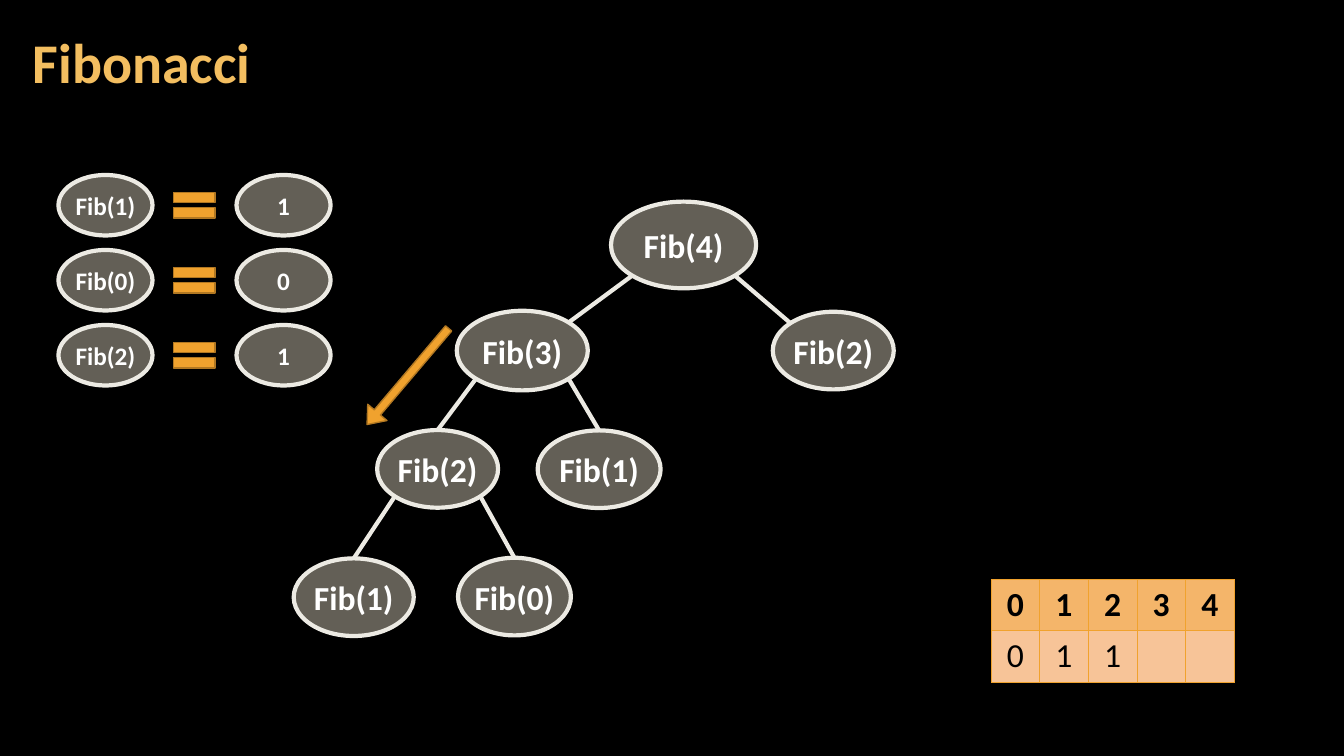
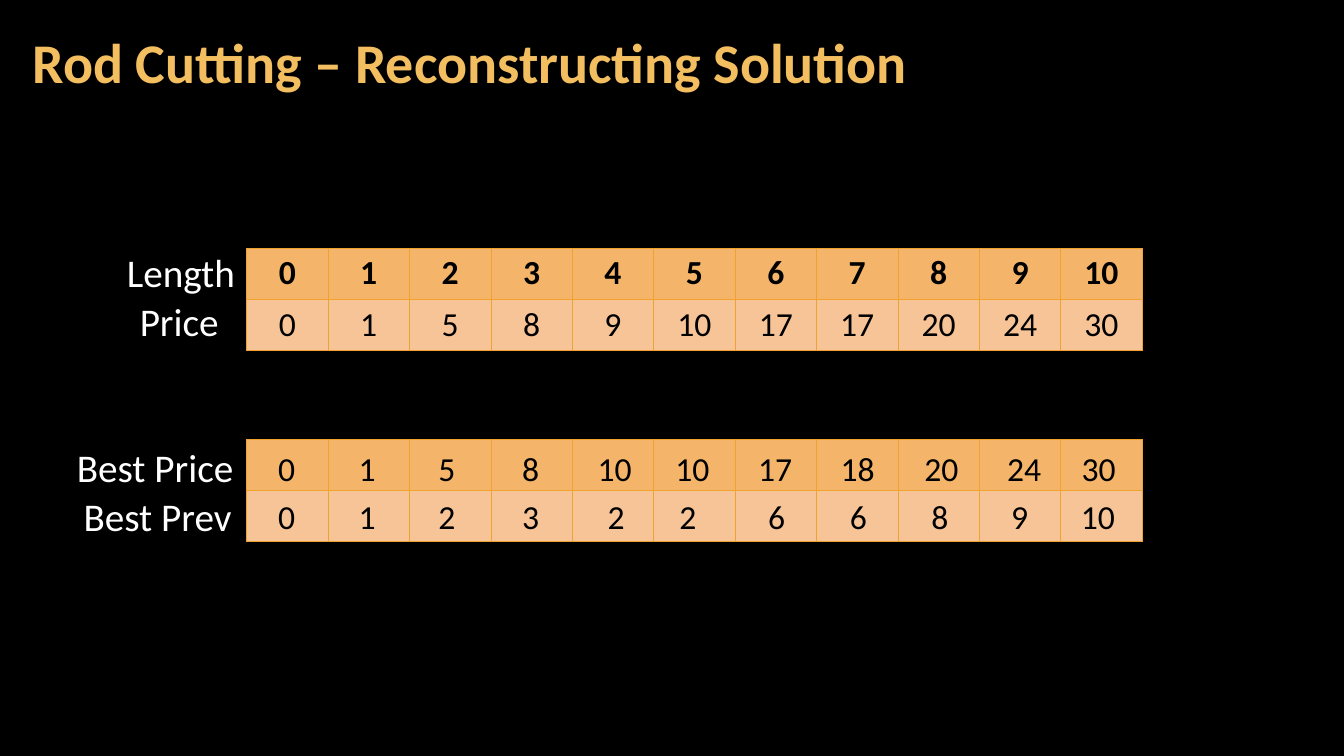
"""Build two dynamic-programming slides: a Fibonacci call tree and rod cutting tables."""
from math import sqrt

from lxml.etree import SubElement
from pptx import Presentation
from pptx.dml.color import RGBColor
from pptx.enum.shapes import MSO_CONNECTOR, MSO_SHAPE
from pptx.enum.text import MSO_ANCHOR, PP_ALIGN
from pptx.oxml.ns import qn
from pptx.util import Inches, Pt

BLACK, WHITE, GOLD = "000000", "FFFFFF", "F3BE60"
ORANGE, BROWN, STONE, CREAM = "F0A22E", "B27822", "C7BFAC", "ECEAE3"
ROW_FILLS = ["F4B56A", "F7C498"]


def paint(fill, color):
    fill.solid()
    fill.fore_color.rgb = RGBColor.from_string(color)


def write(tf, text, size=24, color=WHITE, bold=False, align=PP_ALIGN.CENTER):
    p = tf.paragraphs[0]
    p.alignment = align
    r = p.add_run()
    r.text = text
    r.font.name, r.font.size, r.font.bold = "Calibri", Pt(size), bold
    paint(r.font.fill, color)


prs = Presentation()
prs.slide_width, prs.slide_height = Inches(13.33), Inches(7.5)
col, row = prs.slide_width / 100, prs.slide_height / 100

paint(prs.slide_master.background.fill, BLACK)
layout = prs.slide_layouts[5]
sp = layout.placeholders[0]
sp.left, sp.top = int(1.53 * col), int(0.53 * row)
sp.width, sp.height = int(78.54 * col), int(16.13 * row)
tf = sp.text_frame
tf.margin_left = tf.margin_right = Inches(0.12)
tf.margin_top = tf.margin_bottom = Inches(0.04)
tf.vertical_anchor = MSO_ANCHOR.MIDDLE

for title in ["Fibonacci", "Rod Cutting – Reconstructing Solution"]:
    s = prs.slides.add_slide(layout)
    tf = s.shapes.title.text_frame
    write(tf, title, size=40, color=GOLD, bold=True, align=PP_ALIGN.LEFT)
    tf.paragraphs[0].line_spacing = 0.9
fib, rod = prs.slides

# Each node: text, centre x, centre y, width, height, size
tree = [
    ("Fib(4)", 50.86, 32.4, 10.8, 11.47, 24),
    ("Fib(3)", 38.86, 46.38, 9.75, 10.53, 24),
    ("Fib(2)", 62, 46.38, 9, 10.27, 24),
    ("Fib(2)", 32.56, 62.03, 9, 10.27, 24),
    ("Fib(1)", 44.58, 62.07, 9.15, 10.27, 24),
    ("Fib(1)", 26.32, 79, 8.93, 10.27, 24),
    ("Fib(0)", 38.28, 78.92, 8.4, 10.27, 24),
]
edges = [(0, 1), (0, 2), (1, 3), (1, 4), (3, 5), (3, 6)]
diagonal = sqrt(0.5)
for parent, child in edges:
    _, px, py, pw, ph, _ = tree[parent]
    _, cx, cy, cw, ch, _ = tree[child]
    side = 1 if cx > px else -1
    lean = diagonal if parent == 0 else 0
    x1, y1 = px + side * diagonal * pw / 2, py + diagonal * ph / 2
    x2, y2 = cx - side * lean * cw / 2, cy - sqrt(1 - lean ** 2) * ch / 2
    line = fib.shapes.add_connector(
        MSO_CONNECTOR.STRAIGHT, int(x1 * col), int(y1 * row), int(x2 * col), int(y2 * row))
    paint(line.line.fill, CREAM)
    line.line.width = Pt(3)
    SubElement(line._element.spPr, qn("a:effectLst"))

known = []
marks = [(MSO_SHAPE.RIGHT_ARROW, 25.65, 48.13, 9.38, 3.33)]
for i, (call, value) in enumerate([("Fib(1)", "1"), ("Fib(0)", "0"), ("Fib(2)", "1")]):
    y = 27.15 + 9.92 * i
    known += [(call, 7.85, y, 7, 8, 18), (value, 21.1, y, 7, 8, 18)]
    marks.append((MSO_SHAPE.MATH_EQUAL, 12.36, y - 2.87, 4.2, 5.73))

for text, x, y, w, h, size in tree + known:
    sp = fib.shapes.add_shape(
        MSO_SHAPE.OVAL, int((x - w / 2) * col), int((y - h / 2) * row), int(w * col), int(h * row))
    sp.shadow.inherit = False
    paint(sp.fill, STONE)
    SubElement(sp._element.spPr.find(qn("a:solidFill"))[0], qn("a:alpha"), val="50000")
    paint(sp.line.fill, CREAM)
    sp.line.width = Pt(3)
    tf = sp.text_frame
    tf.word_wrap = False
    tf.margin_left = tf.margin_right = 0
    tf.margin_top = tf.margin_bottom = Inches(0.04)
    tf.vertical_anchor = MSO_ANCHOR.MIDDLE
    write(tf, text, size=size, bold=True)

for kind, x, y, w, h in marks:
    sp = fib.shapes.add_shape(kind, int(x * col), int(y * row), int(w * col), int(h * row))
    sp.shadow.inherit = False
    paint(sp.fill, ORANGE)
    paint(sp.line.fill, BROWN)
    sp.line.width = Pt(1)
    if kind == MSO_SHAPE.RIGHT_ARROW:
        sp.rotation = 130.3
        sp.adjustments[0], sp.adjustments[1] = 0.32, 0.63

prices = [0, 1, 5, 8, 9, 10, 17, 17, 20, 24, 30]
tables = [
    (fib, 73.74, 76.67, 3.62, [range(5), [0, 1, 1, "", ""]]),
    (rod, 18.35, 32.8, 6.06, [range(11), prices]),
    (rod, 18.35, 58.13, 6.06, [[""] * 11] * 2),
]
for s, x, y, w, data in tables:
    n = len(data[0])
    table = s.shapes.add_table(
        2, n, int(x * col), int(y * row), int(n * w * col), int(13.5 * row)).table
    for column in table.columns:
        column.width = int(w * col)
    for i, values in enumerate(data):
        for j, value in enumerate(values):
            cell = table.cell(i, j)
            tcPr = cell._tc.get_or_add_tcPr()
            for edge in ["a:lnL", "a:lnR", "a:lnT", "a:lnB"]:
                ln = SubElement(tcPr, qn(edge), w=str(Pt(0.5)))
                SubElement(SubElement(ln, qn("a:solidFill")), qn("a:srgbClr"), val=ORANGE)
            paint(cell.fill, ROW_FILLS[i])
            if value != "":
                write(cell.text_frame, str(value), color=BLACK, bold=i == 0)

# Each text: text, centre x, top, width, height, size, colour
texts = [
    ("Length", 13.5, 32.2, 9.6, 7.6, 28, WHITE),
    ("Price", 13.38, 38.67, 7.43, 7.6, 28, WHITE),
    ("Best Price", 11.62, 58, 13.28, 7.6, 28, WHITE),
    ("Best Prev", 11.82, 64.45, 12.68, 7.6, 28, WHITE),
]
best = [
    (58.53, [0, 1, 5, 8, 10, 10, 17, 18, 20, 24, 30],
     [21.34, 27.34, 33.27, 39.5, 45.76, 51.54, 57.69, 63.84, 70.07, 76.22, 81.77]),
    (64.87, [0, 1, 2, 3, 2, 2, 6, 6, 8, 9, 10],
     [21.34, 27.34, 33.27, 39.5, 45.87, 51.2, 57.8, 63.88, 69.95, 75.88, 81.7]),
]
for y, values, centres in best:
    for value, x in zip(values, centres):
        texts.append((str(value), x, y, 4.05 if value > 9 else 2.78, 6.67, 24, BLACK))

for text, x, y, w, h, size, color in texts:
    sp = rod.shapes.add_textbox(
        int((x - w / 2) * col), int(y * row), int(w * col), int(h * row))
    sp.text_frame.word_wrap = False
    write(sp.text_frame, text, size=size, color=color, align=PP_ALIGN.LEFT)

prs.save("out.pptx")
